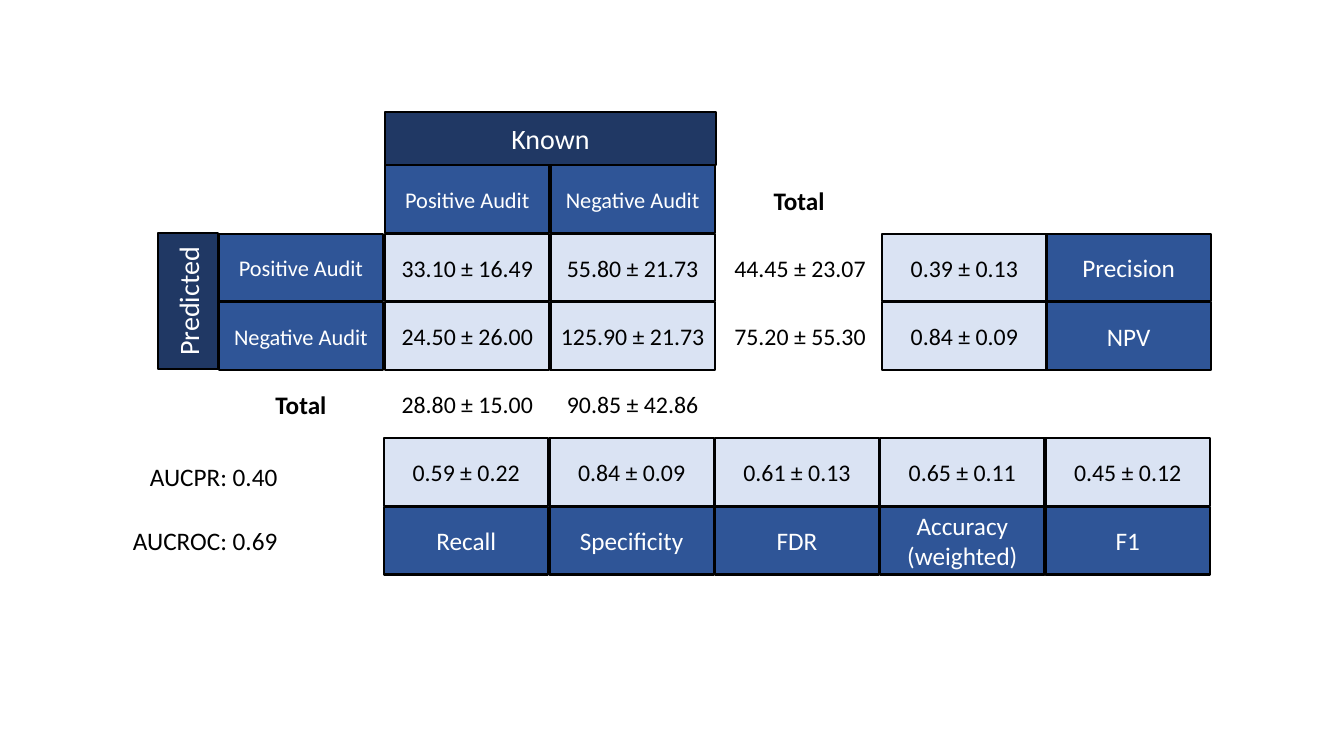
import pptx
import pptx.util
import pptx.dml.color
import pptx.enum.shapes
import pptx.enum.text

Inches = pptx.util.Inches
NAVY, BLUE, PALE = "203864", "2F5597", "DAE3F3"
WHITE, BLACK = "FFFFFF", "000000"
WIDE, HIGH = 1.63, 0.67
STEP, DROP = 1.64, 0.68

HEAD = dict(fill=NAVY, color=WHITE, size=20)
AUDIT = dict(fill=BLUE, color=WHITE, size=16)
NAME = dict(fill=BLUE, color=WHITE, size=18)
VALUE = dict(fill=PALE, color=BLACK, size=17)
SUM = dict(fill=WHITE, color=BLACK, size=17, edge=False)
NOTE = dict(SUM, size=18)
TOTAL = dict(NOTE, bold=True)


def paint(target, tone):
    target.rgb = pptx.dml.color.RGBColor.from_string(tone)


def write(frame, text, size, color, bold=False):
    frame.word_wrap = True
    frame.vertical_anchor = pptx.enum.text.MSO_ANCHOR.MIDDLE
    frame.margin_left = frame.margin_right = Inches(0.05)
    frame.margin_top = frame.margin_bottom = Inches(0)
    frame.text = text
    for para in frame.paragraphs:
        para.alignment = pptx.enum.text.PP_ALIGN.CENTER
        font = para.runs[0].font
        font.name = "Calibri"
        font.size = pptx.util.Pt(size)
        font.bold = bold
        paint(font.color, color)


def cell(slide, text, left, top, wide=WIDE, high=HIGH, *, fill, edge=True, turn=0, **form):
    kind = pptx.enum.shapes.MSO_SHAPE.RECTANGLE
    box = slide.shapes.add_shape(kind, Inches(left), Inches(top), Inches(wide), Inches(high))
    box.shadow.inherit = False
    box.rotation = turn
    box.fill.solid()
    paint(box.fill.fore_color, fill)
    if edge:
        paint(box.line.color, BLACK)
        box.line.width = pptx.util.Pt(1.5)
    else:
        box.line.fill.background()
    write(box.text_frame, text, **form)


def grid(slide, left, top, rows, wide=WIDE, high=HIGH, **form):
    for row, texts in enumerate(rows):
        for col, text in enumerate(texts):
            cell(slide, text, left + col * STEP, top + row * DROP, wide, high, **form)


def matrix(slide, left, top):
    body, base = left + 2.25, top + 1.21
    audits = ["Positive Audit", "Negative Audit"]
    cell(slide, "Known", body, top, 3.28, 0.53, **HEAD)
    grid(slide, body, top + 0.53, [audits], **AUDIT)
    grid(slide, body, base, [["33.10 ± 16.49", "55.80 ± 21.73"],
                             ["24.50 ± 26.00", "125.90 ± 21.73"]], **VALUE)
    grid(slide, left + 0.6, base, [[audit] for audit in audits], **AUDIT)
    cell(slide, "Predicted", left - 0.38, base + 0.37, 1.35, 0.6, turn=270, **HEAD)
    grid(slide, body, base + 1.39, [["28.80 ± 15.00", "90.85 ± 42.86"]], high=0.6, **SUM)
    grid(slide, body + 3.31, base, [["44.45 ± 23.07"], ["75.20 ± 55.30"]], wide=1.61, **SUM)
    cell(slide, "Total", left + 0.6, base + 1.39, high=0.6, **TOTAL)
    cell(slide, "Total", body + 3.3, top + 0.54, 1.61, **TOTAL)


def rates(slide, left, top):
    grid(slide, left, top, [["0.39 ± 0.13"], ["0.84 ± 0.09"]], **VALUE)
    grid(slide, left + WIDE, top, [["Precision"], ["NPV"]], **NAME)


def scores(slide, left, top):
    values = ["0.59 ± 0.22", "0.84 ± 0.09", "0.61 ± 0.13", "0.65 ± 0.11", "0.45 ± 0.12"]
    names = ["Recall", "Specificity", "FDR", "Accuracy\n(weighted)", "F1"]
    grid(slide, left, top, [values], **VALUE)
    grid(slide, left, top + DROP, [names], **NAME)


def areas(slide, left, top):
    cell(slide, "AUCPR: 0.40", left, top, 1.96, **NOTE)
    cell(slide, "AUCROC: 0.69", left, top + 0.64, 1.79, **NOTE)


deck = pptx.Presentation()
deck.slide_width, deck.slide_height = Inches(13.33), Inches(7.5)
slide = deck.slides.add_slide(deck.slide_layouts[6])
matrix(slide, 1.57, 1.11)
scores(slide, 3.81, 4.35)
rates(slide, 8.75, 2.32)
areas(slide, 1.14, 4.39)
deck.save("out.pptx")
